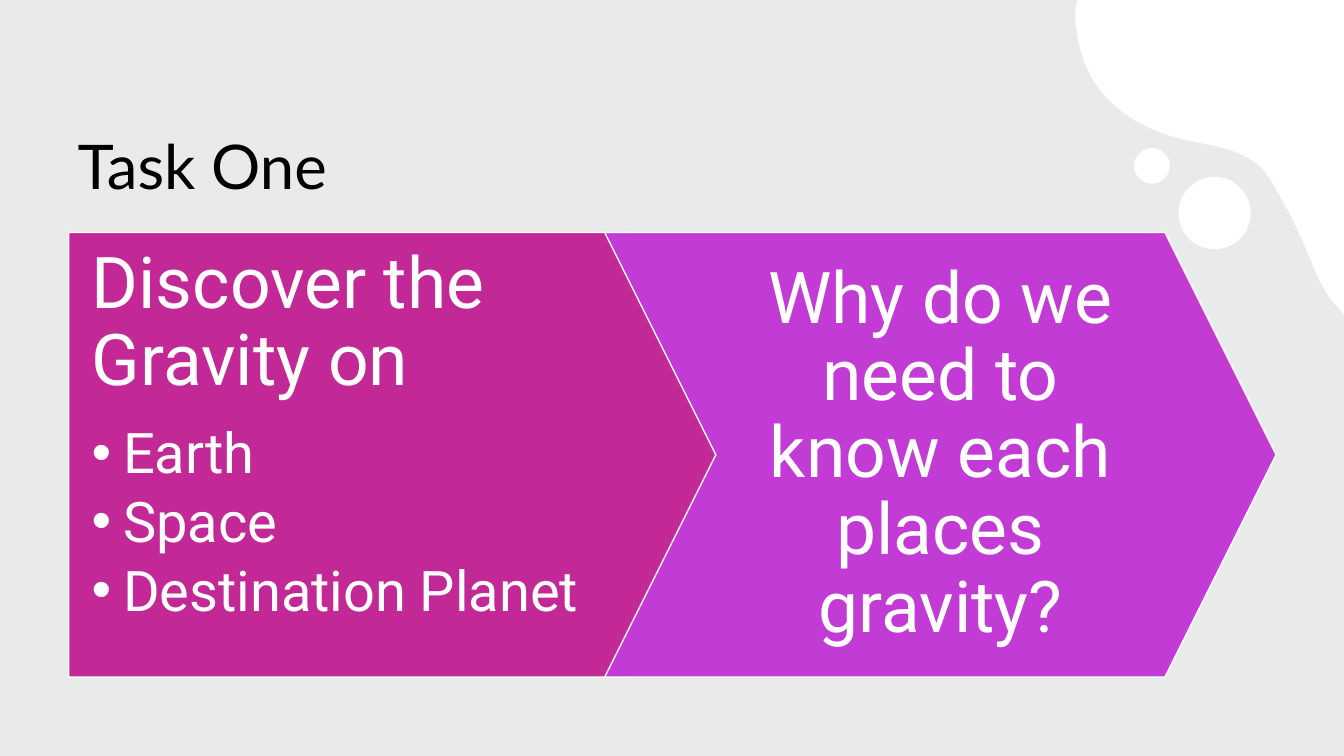
from lxml import etree
from pptx import Presentation
from pptx.dml.color import RGBColor
from pptx.enum import shapes, text
from pptx.oxml import ns
from pptx.util import Cm, Pt

BACKGROUND = RGBColor(0xF0, 0xF3, 0xF2)
TINT = RGBColor(0xAE, 0xAE, 0xAE)
WHITE = RGBColor(0xFF, 0xFF, 0xFF)
BLACK = RGBColor(0, 0, 0)
MAGENTA = RGBColor(0xC3, 0x29, 0x96)
PURPLE = RGBColor(0xC2, 0x3B, 0xD5)
ARROW_TOP, ARROW_W, ARROW_H = Cm(5.86), Cm(16.92), Cm(11.2)


def style_shape(sp, fill, line=None):
    sp.shadow.inherit = False
    sp.fill.solid()
    sp.fill.fore_color.rgb = fill
    if line is None:
        sp.line.fill.background()
    else:
        sp.line.color.rgb = line
        sp.line.width = Pt(1)


def write(p, words, size, font="Roboto", color=WHITE, after=0):
    p.line_spacing = 0.9
    p.space_before = Pt(0)
    p.space_after = Pt(after)
    r = p.add_run()
    r.text = words
    r.font.size = Pt(size)
    r.font.name = font
    r.font.color.rgb = color


prs = Presentation()
prs.slide_width, prs.slide_height = Cm(33.87), Cm(19.05)
s = prs.slides.add_slide(prs.slide_layouts[1])
s.background.fill.solid()
s.background.fill.fore_color.rgb = BACKGROUND

# Grey tint, 10 % opaque, over the whole slide
tint = s.shapes.add_shape(shapes.MSO_SHAPE.RECTANGLE, 0, 0, prs.slide_width, prs.slide_height)
style_shape(tint, TINT)
tint_color = tint.element.spPr.find(ns.qn("a:solidFill")).find(ns.qn("a:srgbClr"))
etree.SubElement(tint_color, ns.qn("a:alpha")).set("val", "10000")

# White blob in the corner: Bézier segments as (control, control, end) in cm
curves = [
    ((27.1, 0.41), (27.1, 0.58), (27.13, 0.74)),
    ((27.31, 2.31), (28.4, 3.25), (30.12, 3.58)),
    ((30.81, 3.71), (31.57, 3.84), (31.98, 4.47)),
    ((32.41, 5.16), (32.77, 5.89), (33.07, 6.65)),
    ((33.22, 7.01), (33.38, 7.34), (33.6, 7.62)),
]
STEPS = 16
start = (27.1, 0.25)
outline = [start]
for c1, c2, end in curves:
    for i in range(1, STEPS + 1):
        t = i / STEPS
        outline.append(tuple(
            (1 - t) ** 3 * a + 3 * (1 - t) ** 2 * t * b + 3 * (1 - t) * t ** 2 * c + t ** 3 * d
            for a, b, c, d in zip(start, c1, c2, end)))
    start = end
outline += [(33.87, 7.92), (33.87, 0)]
blob = s.shapes.build_freeform(Cm(27.15), 0)
blob.add_line_segments([(Cm(x), Cm(y)) for x, y in outline], close=True)
style_shape(blob.convert_to_shape(), WHITE)

for x, y, radius in [(30.61, 5.37, 0.91), (29.03, 4.18, 0.45)]:
    dot = s.shapes.add_shape(shapes.MSO_SHAPE.OVAL, Cm(x - radius), Cm(y - radius),
                             Cm(2 * radius), Cm(2 * radius))
    style_shape(dot, WHITE)

title = s.shapes.title
s.shapes.element.append(title.element)  # bring the title in front of the tint
title.left, title.top, title.width, title.height = Cm(1.7), Cm(1.56), Cm(30.48), Cm(3.68)
tf = title.text_frame
tf.auto_size = text.MSO_AUTO_SIZE.NONE
tf.vertical_anchor = text.MSO_ANCHOR.BOTTOM
p = tf.paragraphs[0]
p.alignment = text.PP_ALIGN.LEFT
write(p, "Task One", 44, "Lato", BLACK)

arrows = []
for kind, left, fill in [(shapes.MSO_SHAPE.PENTAGON, 1.73, MAGENTA),
                         (shapes.MSO_SHAPE.CHEVRON, 15.24, PURPLE)]:
    sp = s.shapes.add_shape(kind, Cm(left), ARROW_TOP, ARROW_W, ARROW_H)
    sp.adjustments[0] = 0.25
    style_shape(sp, fill, WHITE)
    arrows.append(sp)

tf = arrows[1].text_frame
tf.word_wrap = True
tf.vertical_anchor = text.MSO_ANCHOR.MIDDLE
tf.margin_left = tf.margin_right = Cm(0.58)
tf.margin_top = tf.margin_bottom = Cm(0.36)
p = tf.paragraphs[0]
p.alignment = text.PP_ALIGN.CENTER
write(p, "Why do we need to know each places gravity?", 51, after=18)

body = s.placeholders[1]
s.shapes.element.append(body.element)  # bring the list in front of its arrow
body.left, body.top, body.width, body.height = Cm(1.73), ARROW_TOP, Cm(15.49), ARROW_H
tf = body.text_frame
tf.auto_size = text.MSO_AUTO_SIZE.NONE
tf.vertical_anchor = text.MSO_ANCHOR.TOP
tf.margin_left, tf.margin_right = Cm(0.58), Cm(2.39)
tf.margin_top = tf.margin_bottom = Cm(0.36)
p = tf.paragraphs[0]
write(p, "Discover the Gravity on", 51, after=17)
pPr = p._p.get_or_add_pPr()
pPr.set("marL", "0")
pPr.set("indent", "0")
etree.SubElement(pPr, ns.qn("a:buNone"))
for place in ["Earth", "Space", "Destination Planet"]:
    p = tf.add_paragraph()
    p.level = 1
    write(p, place, 40, after=6)
    pPr = p._p.get_or_add_pPr()
    pPr.set("marL", str(Cm(0.79)))
    pPr.set("indent", str(-Cm(0.79)))
    etree.SubElement(pPr, ns.qn("a:buChar")).set("char", "•")

prs.save("out.pptx")
